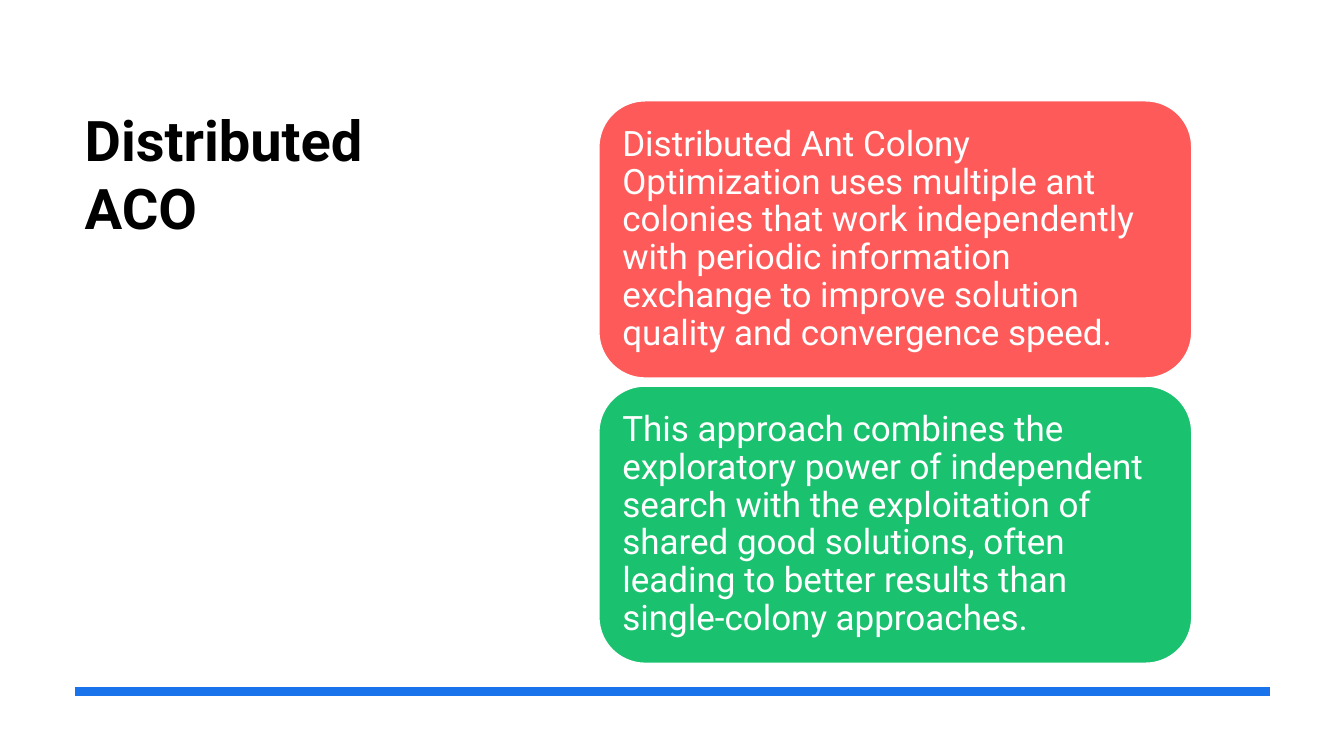
"""Build the Distributed ACO slide with two stacked cards and a footer rule."""
from dataclasses import dataclass

import pptx
import pptx.dml.color
import pptx.enum.shapes
import pptx.enum.text
import pptx.oxml.ns
import pptx.slide
import pptx.util
from lxml import etree

Inches = pptx.util.Inches
Pt = pptx.util.Pt
RGB = pptx.dml.color.RGBColor.from_string


@dataclass(frozen=True)
class Theme:
    font: str = "Roboto"
    title_size: int = 40
    card_size: int = 25
    title_color: str = "000000"
    light: str = "FFFFFF"
    rule: str = "1973EB"
    red: str = "FE5A5A"
    green: str = "1AC16E"


@dataclass(frozen=True)
class Card:
    text: str
    fill: str


THEME = Theme()
CARD_LEFT, CARD_TOP, CARD_WIDTH, CARD_HEIGHT = 5.94, 1, 5.88, 2.75
CARD_PITCH = 2.83
CARDS = [
    Card(
        "Distributed Ant Colony Optimization uses multiple ant colonies that work "
        "independently with periodic information exchange to improve solution "
        "quality and convergence speed.",
        THEME.red,
    ),
    Card(
        "This approach combines the exploratory power of independent search with "
        "the exploitation of shared good solutions, often leading to better results "
        "than single-colony approaches.",
        THEME.green,
    ),
]


def add_title(s: pptx.slide.Slide, text: str) -> None:
    sp = s.shapes.title
    sp.left, sp.top = Inches(0.74), Inches(1)
    sp.width, sp.height = Inches(4.02), Inches(4.55)
    tf = sp.text_frame
    tf.text = text
    tf.word_wrap = True
    tf.auto_size = pptx.enum.text.MSO_AUTO_SIZE.NONE
    tf.vertical_anchor = pptx.enum.text.MSO_ANCHOR.TOP
    p = tf.paragraphs[0]
    p.alignment = pptx.enum.text.PP_ALIGN.LEFT
    p.font.name = THEME.font
    p.font.size = Pt(THEME.title_size)
    p.font.bold = True
    p.font.color.rgb = RGB(THEME.title_color)


def add_rule(s: pptx.slide.Slide) -> None:
    line = s.shapes.add_connector(
        pptx.enum.shapes.MSO_CONNECTOR.STRAIGHT,
        Inches(0.74), Inches(6.86), Inches(12.6), Inches(6.86),
    )
    line.line.color.rgb = RGB(THEME.rule)
    line.line.width = Pt(6)
    etree.SubElement(line._element.spPr, pptx.oxml.ns.qn("a:effectLst"))


def add_card(s: pptx.slide.Slide, card: Card, top: float) -> None:
    sp = s.shapes.add_shape(
        pptx.enum.shapes.MSO_SHAPE.ROUNDED_RECTANGLE,
        Inches(CARD_LEFT), Inches(top), Inches(CARD_WIDTH), Inches(CARD_HEIGHT),
    )
    sp.shadow.inherit = False
    sp.fill.solid()
    sp.fill.fore_color.rgb = RGB(card.fill)
    sp.line.color.rgb = RGB(THEME.light)
    sp.line.width = Pt(1)
    tf = sp.text_frame
    tf.text = card.text
    tf.word_wrap = True
    tf.vertical_anchor = pptx.enum.text.MSO_ANCHOR.MIDDLE
    tf.margin_left = tf.margin_right = tf.margin_top = tf.margin_bottom = Inches(0.1)
    p = tf.paragraphs[0]
    p.alignment = pptx.enum.text.PP_ALIGN.LEFT
    p.line_spacing = 0.9
    p.font.name = THEME.font
    p.font.size = Pt(THEME.card_size)
    p.font.color.rgb = RGB(THEME.light)


def main() -> None:
    prs = pptx.Presentation()
    prs.slide_width, prs.slide_height = Inches(13.33), Inches(7.5)
    s = prs.slides.add_slide(prs.slide_layouts[5])
    add_title(s, "Distributed ACO")
    add_rule(s)
    for i, card in enumerate(CARDS):
        add_card(s, card, CARD_TOP + i * CARD_PITCH)
    prs.save("out.pptx")


if __name__ == "__main__":
    main()
